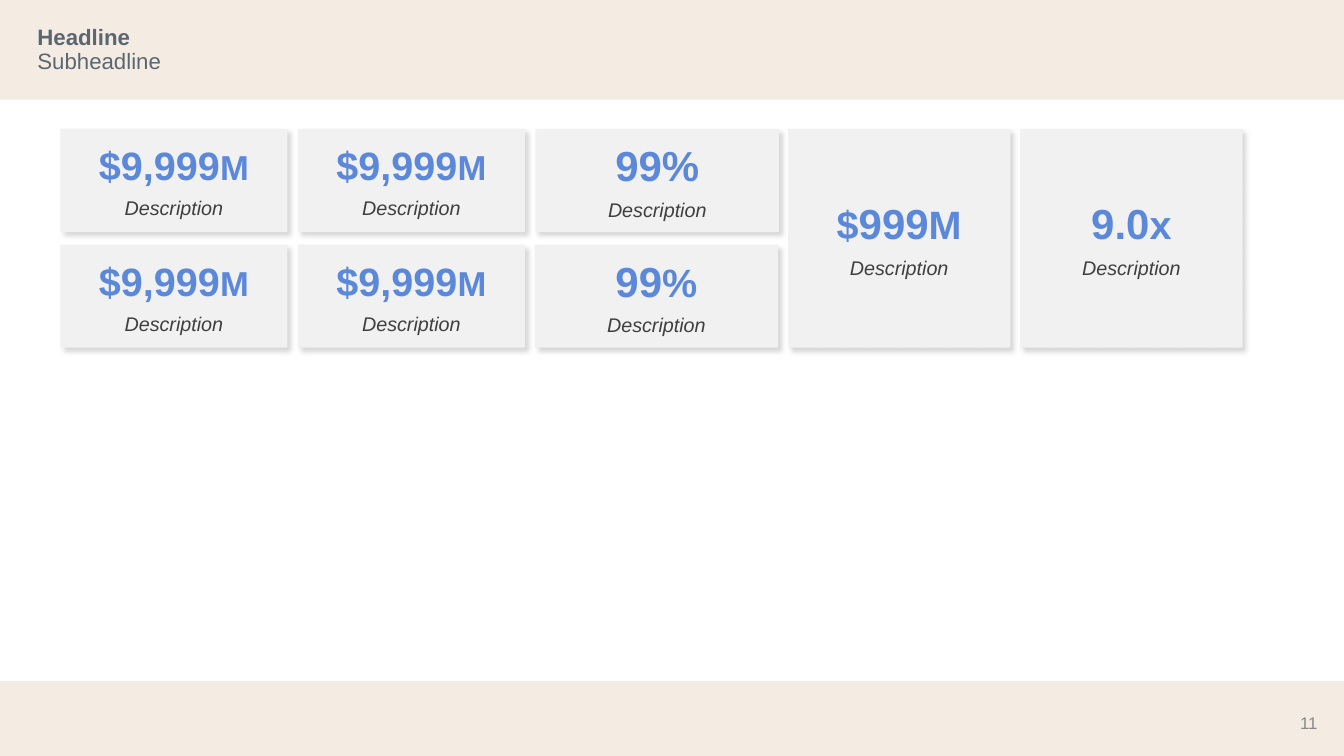
from lxml import etree
from pptx import Presentation
from pptx import util as u
from pptx.dml.color import RGBColor
from pptx.enum import shapes, text
from pptx.oxml import ns

SHADOW = (
    '<a:outerShdw xmlns:a="http://schemas.openxmlformats.org/drawingml/2006/main" '
    'blurRad="50800" dist="50800" dir="2700000" algn="tl" rotWithShape="0">'
    '<a:srgbClr val="D8D8D8"/></a:outerShdw>'
)


def color(hex_code):
    return RGBColor.from_string(hex_code)


def add_rectangle(left, top, width, height, fill):
    box = page.shapes.add_shape(
        shapes.MSO_SHAPE.RECTANGLE,
        u.Inches(left), u.Inches(top), u.Inches(width), u.Inches(height))
    box.shadow.inherit = False
    box.fill.solid()
    box.fill.fore_color.rgb = color(fill)
    box.line.fill.background()
    return box


deck = Presentation()
deck.slide_width = u.Inches(15.11)
deck.slide_height = u.Inches(8.5)
page = deck.slides.add_slide(deck.slide_layouts[5])
title = page.shapes.title

# Header and footer bands, behind the title
for top, height in ((7.66, 0.84), (0, 1.12)):
    band = add_rectangle(0, top, 15.11, height, "F4ECE3")
    title.element.addprevious(band.element)

# Title
title.left, title.top = u.Inches(0.32), u.Inches(0.19)
title.width, title.height = u.Inches(13.03), u.Inches(0.75)
frame = title.text_frame
frame.auto_size = text.MSO_AUTO_SIZE.NONE
frame.vertical_anchor = text.MSO_ANCHOR.MIDDLE
para = frame.paragraphs[0]
para.alignment = text.PP_ALIGN.LEFT
para.line_spacing = 0.9
para.font.name = "Arial"
para.font.size = u.Pt(18)
para.font.color.rgb = color("5A6771")
headline = para.add_run()
headline.text = "Headline"
headline.font.bold = True
para.add_line_break()
para.add_run().text = "Subheadline"

# Page number
number = page.shapes.add_textbox(
    u.Inches(14.36), u.Inches(8.02), u.Inches(0.55), u.Inches(0.21))
frame = number.text_frame
frame.word_wrap = True
frame.vertical_anchor = text.MSO_ANCHOR.MIDDLE
para = frame.paragraphs[0]
para.text = "11"
para.alignment = text.PP_ALIGN.RIGHT
para.font.name = "Arial"
para.font.size = u.Pt(13.6)
para.font.color.rgb = color("888888")

# Metric cards: left, top, width, height, value as (text, size) spans
UPPER, LOWER = 1.45, 2.75
SHORT, TALL = 1.16, 2.46
millions = [("$9,999", 32), ("M", 28)]
cards = [
    (left, top, 2.55, SHORT, millions)
    for top in (UPPER, LOWER) for left in (0.68, 3.35)
] + [
    (6.02, UPPER, 2.74, SHORT, [("99%", 34)]),
    (6.01, LOWER, 2.74, SHORT, [("99", 34), ("%", 32)]),
    (8.86, UPPER, 2.5, TALL, [("$", 32), ("999", 34), ("M", 32)]),
    (11.47, UPPER, 2.5, TALL, [("9.0", 34), ("x", 32)]),
]

for left, top, width, height, value in cards:
    card = add_rectangle(left, top, width, height, "F1F1F1")
    effects = card.element.spPr.find(ns.qn("a:effectLst"))
    effects.append(etree.fromstring(SHADOW))

    frame = card.text_frame
    frame.word_wrap = True
    frame.vertical_anchor = text.MSO_ANCHOR.MIDDLE
    frame.margin_left = frame.margin_right = 0
    frame.margin_top = frame.margin_bottom = 0

    figure = frame.paragraphs[0]
    figure.font.bold = True
    figure.font.color.rgb = color("5C88DA")
    for words, size in value:
        span = figure.add_run()
        span.text = words
        span.font.size = u.Pt(size)

    description = frame.add_paragraph()
    description.text = "Description"
    description.space_before = u.Pt(6)
    description.font.size = u.Pt(16)
    description.font.italic = True
    description.font.color.rgb = color("3F3F3F")

    for para in frame.paragraphs:
        para.alignment = text.PP_ALIGN.CENTER
        para.font.name = "Arial"

deck.save("out.pptx")
